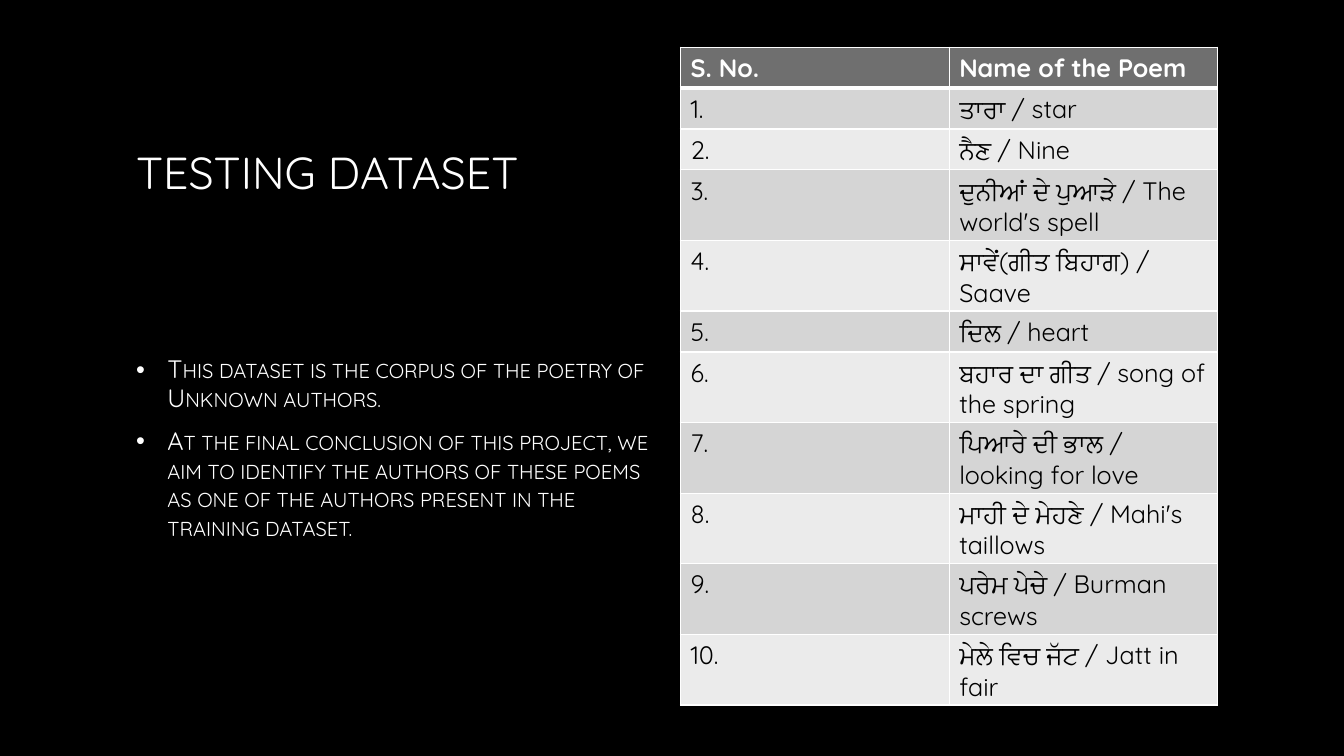
from typing import NamedTuple

from lxml import etree
from pptx import Presentation
from pptx.dml.color import RGBColor
from pptx.enum.text import MSO_ANCHOR
from pptx.oxml.ns import qn
from pptx.util import Cm, Pt

MIDDLE = MSO_ANCHOR.MIDDLE
TOP = MSO_ANCHOR.TOP

BLACK = RGBColor(0x00, 0x00, 0x00)
WHITE = RGBColor(0xFF, 0xFF, 0xFF)
HEADER_GREY = RGBColor(0x6F, 0x6F, 0x6F)
BAND_GREYS = (RGBColor(0xD5, 0xD5, 0xD5), RGBColor(0xEB, 0xEB, 0xEB))

FONT = "Quicksand"
LEFT_MARGIN = 3.18
BULLET_INDENT = Cm(0.79)
TABLE_COLUMN = 6.77
TABLE_ROW = 1.03


class TextBlock(NamedTuple):
    lines: tuple[str, ...]
    top: float
    width: float
    height: float
    style: dict


class TableRow(NamedTuple):
    number: str
    poem: str


TEXT_BLOCKS = (
    TextBlock(("TESTING DATASET",), 1.69, 27.52, 5.29, {"size": 32}),
    TextBlock(
        (
            "This dataset is the corpus of the poetry of Unknown authors.",
            "At the final conclusion of this project, we aim to identify the authors "
            "of these poems as one of the authors present in the training dataset.",
        ),
        6.98, 13.55, 8.68,
        {"small_caps": True, "bullet": "•", "line_spacing": 0.95,
         "space_before": 4, "space_after": 6},
    ),
)

HEADER = TableRow("S. No.", "Name of the Poem")
POEMS = (
    "ਤਾਰਾ / star",
    "ਨੈਣ / Nine",
    "ਦੁਨੀਆਂ ਦੇ ਪੁਆੜੇ / The world's spell",
    "ਸਾਵੇਂ(ਗੀਤ ਬਿਹਾਗ) / Saave",
    "ਦਿਲ / heart",
    "ਬਹਾਰ ਦਾ ਗੀਤ / song of the spring",
    "ਪਿਆਰੇ ਦੀ ਭਾਲ / looking for love",
    "ਮਾਹੀ ਦੇ ਮੇਹਣੇ / Mahi's taillows",
    "ਪਰੇਮ ਪੇਚੇ / Burman screws",
    "ਮੇਲੇ ਵਿਚ ਜੱਟ / Jatt in fair",
)


def add_bullet(paragraph, mark: str, color: RGBColor) -> None:
    properties = paragraph._p.get_or_add_pPr()
    properties.set("marL", str(BULLET_INDENT))
    properties.set("indent", str(-BULLET_INDENT))
    bullet_color = etree.SubElement(properties, qn("a:buClr"))
    etree.SubElement(bullet_color, qn("a:srgbClr"), val=str(color))
    etree.SubElement(properties, qn("a:buFont"), typeface="Arial")
    etree.SubElement(properties, qn("a:buChar"), char=mark)


def write_text(frame, lines: tuple[str, ...], *, size: float = 18,
               color: RGBColor = WHITE, bold: bool = False,
               small_caps: bool = False, bullet: str = "",
               anchor: MSO_ANCHOR = MIDDLE, line_spacing: float = 1.0,
               space_before: float = 0, space_after: float = 0) -> None:
    frame.word_wrap = True
    frame.vertical_anchor = anchor
    for index, line in enumerate(lines):
        paragraph = frame.add_paragraph() if index else frame.paragraphs[0]
        paragraph.line_spacing = line_spacing
        paragraph.space_before = Pt(space_before)
        paragraph.space_after = Pt(space_after)
        if bullet:
            add_bullet(paragraph, bullet, color)
        run = paragraph.add_run()
        run.text = line
        run.font.name = FONT
        run.font.size = Pt(size)
        run.font.bold = bold
        run.font.color.rgb = color
        if small_caps:
            run.font._element.set("cap", "small")


def set_borders(cell, widths: dict[str, float]) -> None:
    properties = cell._tc.get_or_add_tcPr()
    for position, (side, width) in enumerate(widths.items()):
        border = etree.Element(qn(f"a:ln{side}"), w=str(Pt(width)))
        fill = etree.SubElement(border, qn("a:solidFill"))
        etree.SubElement(fill, qn("a:srgbClr"), val=str(WHITE))
        properties.insert(position, border)


def draw_text_block(slide, block: TextBlock) -> None:
    box = slide.shapes.add_textbox(Cm(LEFT_MARGIN), Cm(block.top),
                                   Cm(block.width), Cm(block.height))
    write_text(box.text_frame, block.lines, **block.style)


def draw_table(slide, rows: list[TableRow]) -> None:
    columns = len(HEADER)
    table = slide.shapes.add_table(
        len(rows), columns, Cm(17.15), Cm(1.19),
        Cm(TABLE_COLUMN * columns), Cm(TABLE_ROW * len(rows))).table
    for column in table.columns:
        column.width = Cm(TABLE_COLUMN)
    for row_index, row in enumerate(rows):
        table.rows[row_index].height = Cm(TABLE_ROW)
        is_header = row_index == 0
        shade = HEADER_GREY if is_header else BAND_GREYS[(row_index - 1) % 2]
        borders = {"L": 1, "R": 1, "T": 3 if row_index == 1 else 1,
                   "B": 3 if is_header else 1}
        for column_index, content in enumerate(row):
            cell = table.cell(row_index, column_index)
            cell.fill.solid()
            cell.fill.fore_color.rgb = shade
            set_borders(cell, borders)
            write_text(cell.text_frame, (content,), bold=is_header, anchor=TOP,
                       color=WHITE if is_header else BLACK)


def main() -> None:
    presentation = Presentation()
    presentation.slide_width = Cm(33.87)
    presentation.slide_height = Cm(19.05)
    slide = presentation.slides.add_slide(presentation.slide_layouts[6])
    slide.background.fill.solid()
    slide.background.fill.fore_color.rgb = BLACK
    for block in TEXT_BLOCKS:
        draw_text_block(slide, block)
    numbered = [TableRow(f"{number}.", poem)
                for number, poem in enumerate(POEMS, start=1)]
    draw_table(slide, [HEADER, *numbered])
    presentation.save("out.pptx")


if __name__ == "__main__":
    main()
